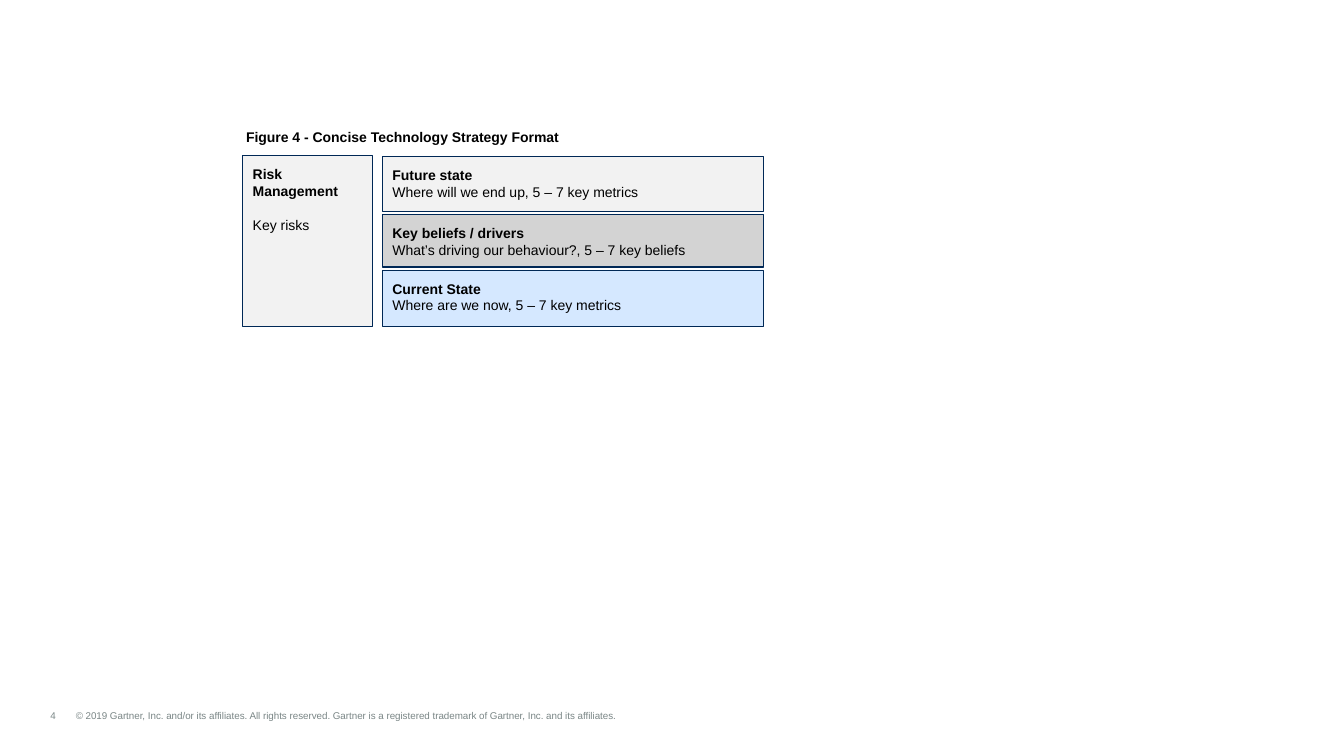
from dataclasses import dataclass

from lxml.etree import SubElement
from pptx import Presentation
from pptx.dml.color import RGBColor
from pptx.enum.shapes import MSO_SHAPE as Shape
from pptx.enum.text import MSO_ANCHOR as Anchor, MSO_AUTO_SIZE as AutoSize, PP_ALIGN as Align
from pptx.oxml.ns import qn
from pptx.util import Cm, Pt


@dataclass(frozen=True)
class Theme:
    font: str = "Arial"
    text: str = "000000"
    outline: str = "002856"
    pale: str = "F2F2F2"
    grey: str = "D3D3D3"
    blue: str = "D5E8FF"
    footer: str = "7A8686"
    body_size: float = 10
    footer_size: float = 7
    outline_width: float = 0.75
    paragraph_gap: float = 12


THEME = Theme()
COLUMN_LEFT, COLUMN_WIDTH = 9.64, 9.6
STATES = [
    # top, height, fill, heading, description
    (3.94, 1.38, THEME.pale, "Future state", "Where will we end up, 5 – 7 key metrics"),
    (5.41, 1.32, THEME.grey, "Key beliefs / drivers",
     "What’s driving our behaviour?, 5 – 7 key beliefs"),
    (6.81, 1.41, THEME.blue, "Current State", "Where are we now, 5 – 7 key metrics"),
]
COPYRIGHT = ("© 2019 Gartner, Inc. and/or its affiliates. All rights reserved.\u00a0"
             "Gartner is a registered trademark of Gartner, Inc. and its affiliates.")


def add_span(para, text, bold=False, size=THEME.body_size, colour=THEME.text):
    span = para.add_run()
    span.text = text
    span.font.name = THEME.font
    span.font.size = Pt(size)
    span.font.bold = bold
    span.font.color.rgb = RGBColor.from_string(colour)


def set_frame(frame, margins, anchor, wrap=True):
    """Set margins in cm (left, top, right, bottom), anchor and wrapping."""
    frame.margin_left, frame.margin_top, frame.margin_right, frame.margin_bottom = map(Cm, margins)
    frame.vertical_anchor = anchor
    frame.word_wrap = wrap
    frame.auto_size = AutoSize.NONE


def place(box, left, top, width, height):
    box.left, box.top, box.width, box.height = map(Cm, (left, top, width, height))


def add_panel(page, left, top, width, height, fill):
    """Add an outlined rectangle and return its text frame."""
    panel = page.shapes.add_shape(Shape.RECTANGLE, Cm(left), Cm(top), Cm(width), Cm(height))
    panel.shadow.inherit = False
    panel.fill.solid()
    panel.fill.fore_color.rgb = RGBColor.from_string(fill)
    panel.line.color.rgb = RGBColor.from_string(THEME.outline)
    panel.line.width = Pt(THEME.outline_width)
    set_frame(panel.text_frame, (0.25,) * 4, Anchor.TOP)
    return panel.text_frame


def format_panel_paragraph(para):
    para.alignment = Align.LEFT
    para.space_after = Pt(THEME.paragraph_gap)


def add_state(page, top, height, fill, heading, description):
    para = add_panel(page, COLUMN_LEFT, top, COLUMN_WIDTH, height, fill).paragraphs[0]
    format_panel_paragraph(para)
    add_span(para, heading, bold=True)
    para.add_line_break()
    add_span(para, description)


def add_risks(page):
    frame = add_panel(page, 6.12, 3.93, 3.28, 4.29, THEME.pale)
    for para, text, bold in [(frame.paragraphs[0], "Risk Management", True),
                             (frame.add_paragraph(), "Key risks", False)]:
        format_panel_paragraph(para)
        add_span(para, text, bold)


def add_caption(page, text):
    title = page.shapes.title
    place(title, 6.2, 3.12, 8.26, 0.69)
    set_frame(title.text_frame, (0, 0.13, 0.25, 0.13), Anchor.TOP, wrap=False)
    para = title.text_frame.paragraphs[0]
    para.alignment = Align.LEFT
    add_span(para, text, bold=True)


def add_footer(page, number, text):
    box = page.shapes.add_textbox(Cm(1.27), Cm(17.88), Cm(19.94), Cm(0.3))
    set_frame(box.text_frame, (0,) * 4, Anchor.BOTTOM)
    para = box.text_frame.paragraphs[0]
    indent = Cm(0.64)
    properties = para._p.get_or_add_pPr()
    properties.set("marL", str(indent))
    properties.set("indent", str(-indent))
    tabs = SubElement(properties, qn("a:tabLst"))
    SubElement(tabs, qn("a:tab"), pos=str(indent), algn="l")
    add_span(para, f"{number}\t{text}", size=THEME.footer_size, colour=THEME.footer)


def main():
    deck = Presentation()
    deck.slide_width, deck.slide_height = Cm(33.87), Cm(19.05)
    page = deck.slides.add_slide(deck.slide_layouts.get_by_name("Title Only"))
    add_caption(page, "Figure 4 - Concise Technology Strategy Format")
    add_risks(page)
    for state in STATES:
        add_state(page, *state)
    add_footer(page, 4, COPYRIGHT)
    deck.save("out.pptx")


if __name__ == "__main__":
    main()
